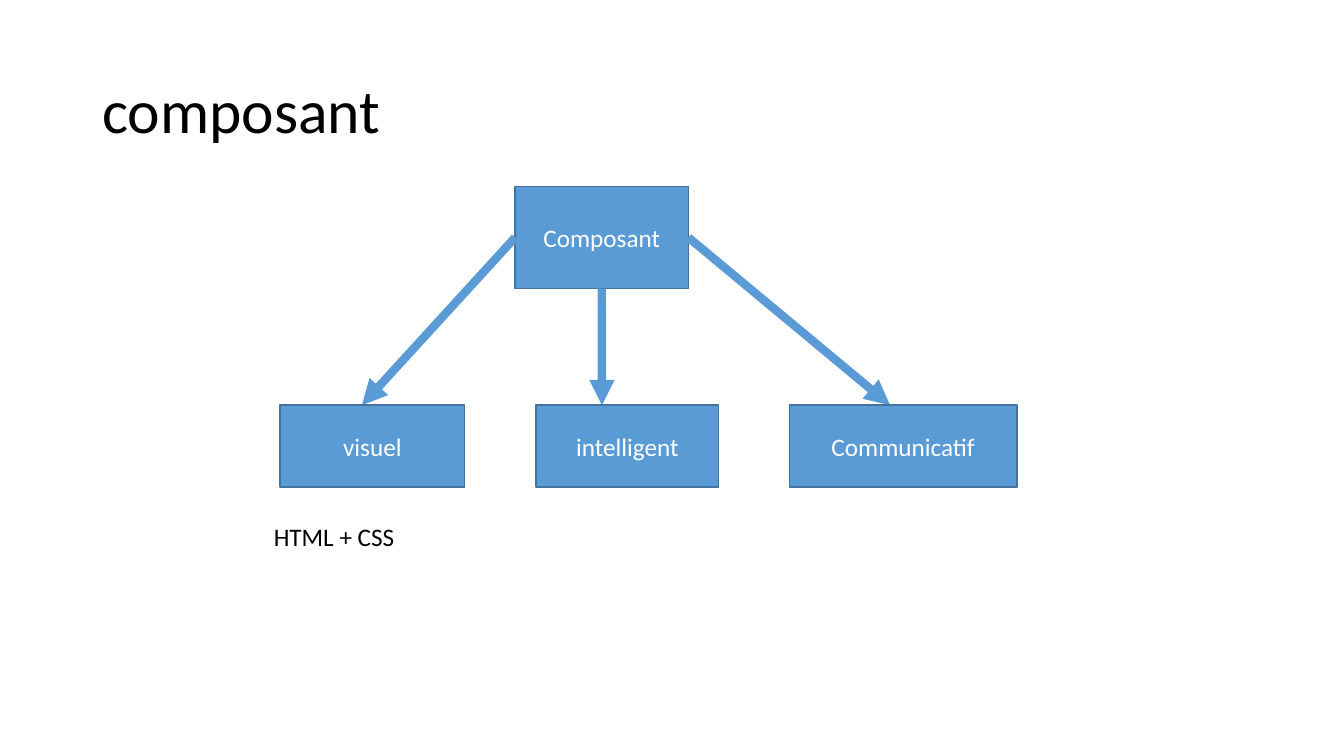
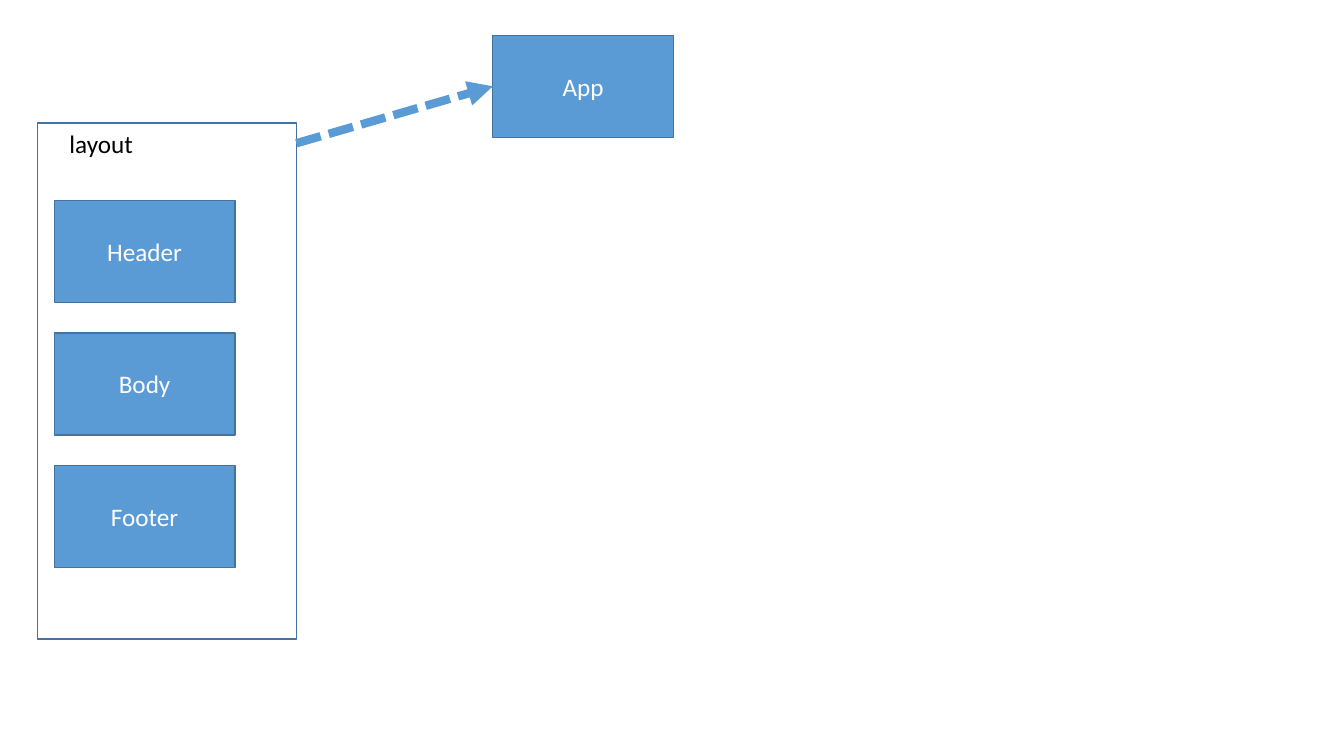
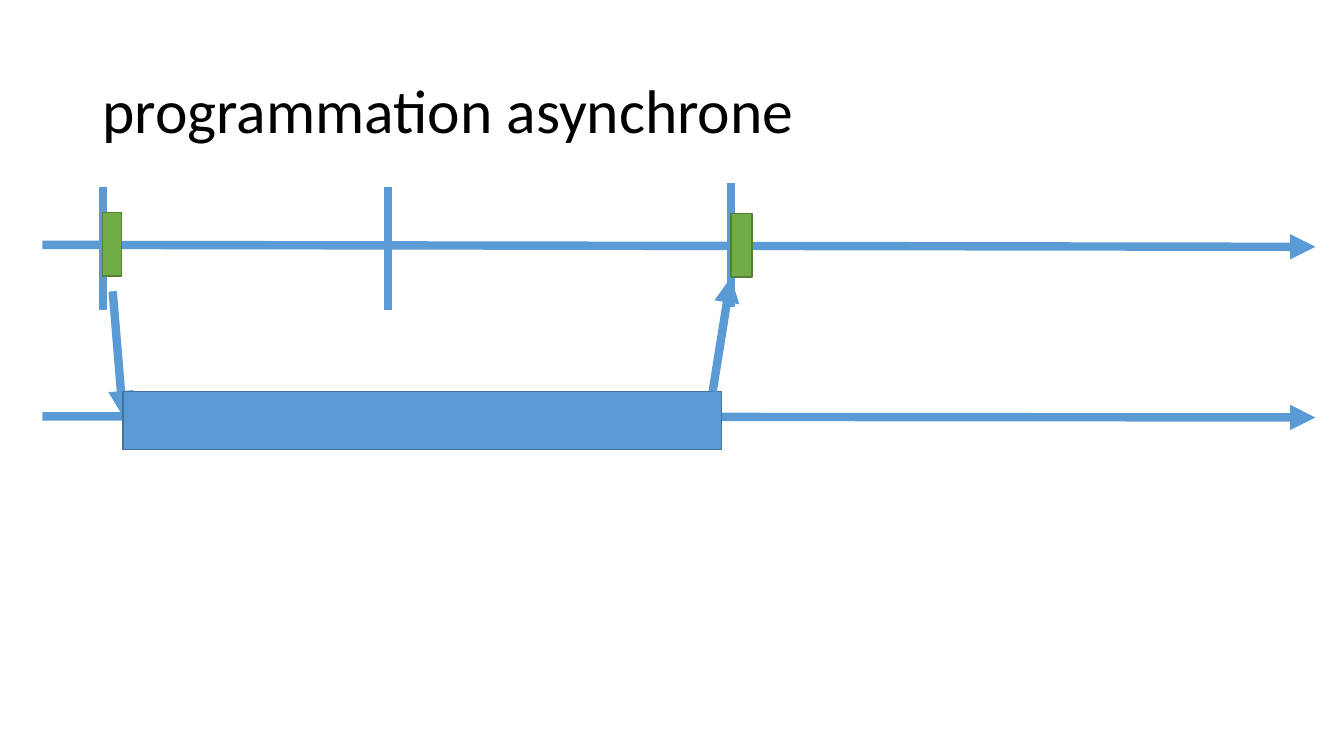
from lxml import etree
from pptx import Presentation
from pptx.dml.color import RGBColor
from pptx.enum import dml, shapes, text
from pptx.oxml import ns
from pptx.util import Cm, Pt

BLUE = RGBColor(0x5B, 0x9B, 0xD5)
DARK_BLUE = RGBColor(0x43, 0x73, 0x9E)
GREEN = RGBColor(0x70, 0xAD, 0x47)
DARK_GREEN = RGBColor(0x53, 0x80, 0x35)
BLACK = RGBColor(0, 0, 0)
WHITE = RGBColor(0xFF, 0xFF, 0xFF)
FONT = "Calibri"


class Sketch:
    """Holds the deck, its style and the slide being drawn."""

    def __init__(self):
        self.deck = Presentation()
        self.deck.slide_width, self.deck.slide_height = Cm(33.87), Cm(19.05)
        self.page = None

    def new_page(self, title=None):
        self.page = self.deck.slides.add_slide(self.deck.slide_layouts[6])
        if title:
            frame = self.add_text(title, 2.33, 1.02, 29.21, 3.68, size=44)
            frame.word_wrap = True
            frame.vertical_anchor = text.MSO_ANCHOR.MIDDLE
            frame.paragraphs[0].line_spacing = 0.9

    def set_words(self, frame, words, size, color):
        frame.text = words
        for para in frame.paragraphs:
            for span in para.runs:
                span.font.name = FONT
                span.font.size = Pt(size)
                span.font.color.rgb = color

    def add_text(self, words, left, top, width, height, size=18):
        box = self.page.shapes.add_textbox(Cm(left), Cm(top), Cm(width), Cm(height))
        self.set_words(box.text_frame, words, size, BLACK)
        return box.text_frame

    def add_label(self, words, left, top, width):
        """Add one unwrapped line of text."""
        frame = self.add_text(words, left, top, width, 1.02)
        frame.word_wrap = False
        frame.auto_size = text.MSO_AUTO_SIZE.SHAPE_TO_FIT_TEXT

    def add_box(self, left, top, width, height, words="", fill=BLUE, outline=DARK_BLUE):
        box = self.page.shapes.add_shape(
            shapes.MSO_SHAPE.RECTANGLE, Cm(left), Cm(top), Cm(width), Cm(height))
        box.shadow.inherit = False
        if fill is None:
            box.fill.background()
        else:
            box.fill.solid()
            box.fill.fore_color.rgb = fill
        box.line.color.rgb = outline
        box.line.width = Pt(1)
        if words:
            box.text_frame.vertical_anchor = text.MSO_ANCHOR.MIDDLE
            self.set_words(box.text_frame, words, 18, WHITE)
            box.text_frame.paragraphs[0].alignment = text.PP_ALIGN.CENTER
        return box

    def add_line(self, start, end, arrow=True, dashed=False, begin=None, finish=None):
        """Draw from start to end; begin and finish are (box, side) joins."""
        line = self.page.shapes.add_connector(
            shapes.MSO_CONNECTOR.STRAIGHT, *map(Cm, start + end))
        line.line.color.rgb = BLUE
        line.line.width = Pt(6)
        if dashed:
            line.line.dash_style = dml.MSO_LINE.SQUARE_DOT
        properties = line._element.spPr
        if arrow:
            stroke = properties.find(ns.qn("a:ln"))
            etree.SubElement(stroke, ns.qn("a:tailEnd")).set("type", "triangle")
        etree.SubElement(properties, ns.qn("a:effectLst"))
        if begin:
            line.begin_connect(*begin)
        if finish:
            line.end_connect(*finish)


def draw_component(sketch):
    sketch.new_page("composant")
    root = sketch.add_box(12.98, 4.7, 4.37, 2.57, "Composant")
    child_top = 10.21
    # word, left, width, side of the root, arrow start, arrow tip
    children = [
        ("visuel", 7.06, 4.65, 1, (12.98, 5.99), 9.12),
        ("intelligent", 13.51, 4.6, 2, (15.17, 7.27), 15.17),
        ("Communicatif", 19.89, 5.74, 3, (17.35, 5.99), 22.43),
    ]
    for words, left, width, side, start, tip in children:
        sketch.add_line(start, (tip, child_top), begin=(root, side))
        sketch.add_box(left, child_top, width, 2.06, words)
    sketch.add_label("HTML + CSS", 6.65, 13, 3.58)


def draw_layout(sketch):
    sketch.new_page()
    width, height = 4.55, 2.57
    app = sketch.add_box(12.42, 0.89, width, height, "App")
    for row, words in enumerate(["Header", "Body", "Footer"]):
        sketch.add_box(1.37, 5.05 + row * 3.34, width, height, words)
    sketch.add_box(0.94, 3.1, 6.53, 13, fill=None)
    sketch.add_label("layout", 1.5, 3.1, 2.13)
    sketch.add_line((7.47, 3.61), (12.42, 2.17), dashed=True, finish=(app, 1))


def draw_async(sketch):
    sketch.new_page("programmation asynchrone")
    axis_left, axis_right = 1.07, 33.15
    call, reply = 2.59, 18.42
    sketch.add_line((axis_left, 6.17), (axis_right, 6.22))
    for tick, top in [(call, 4.7), (9.78, 4.7), (reply, 4.62)]:
        sketch.add_line((tick, top), (tick, top + 3.12), arrow=False)
    for left, top, width in [(call, 5.36, 0.48), (reply, 5.38, 0.53)]:
        sketch.add_box(left, top, width, 1.6, fill=GREEN, outline=DARK_GREEN)
    sketch.add_line((axis_left, 10.49), (axis_right, 10.52))
    sketch.add_line((2.84, 7.34), (3.1, 10.49))
    sketch.add_box(3.1, 9.86, 15.09, 1.47)
    sketch.add_line((17.96, 9.86), (reply, 6.99))


def main():
    sketch = Sketch()
    draw_component(sketch)
    draw_layout(sketch)
    draw_async(sketch)
    sketch.deck.save("out.pptx")


if __name__ == "__main__":
    main()
